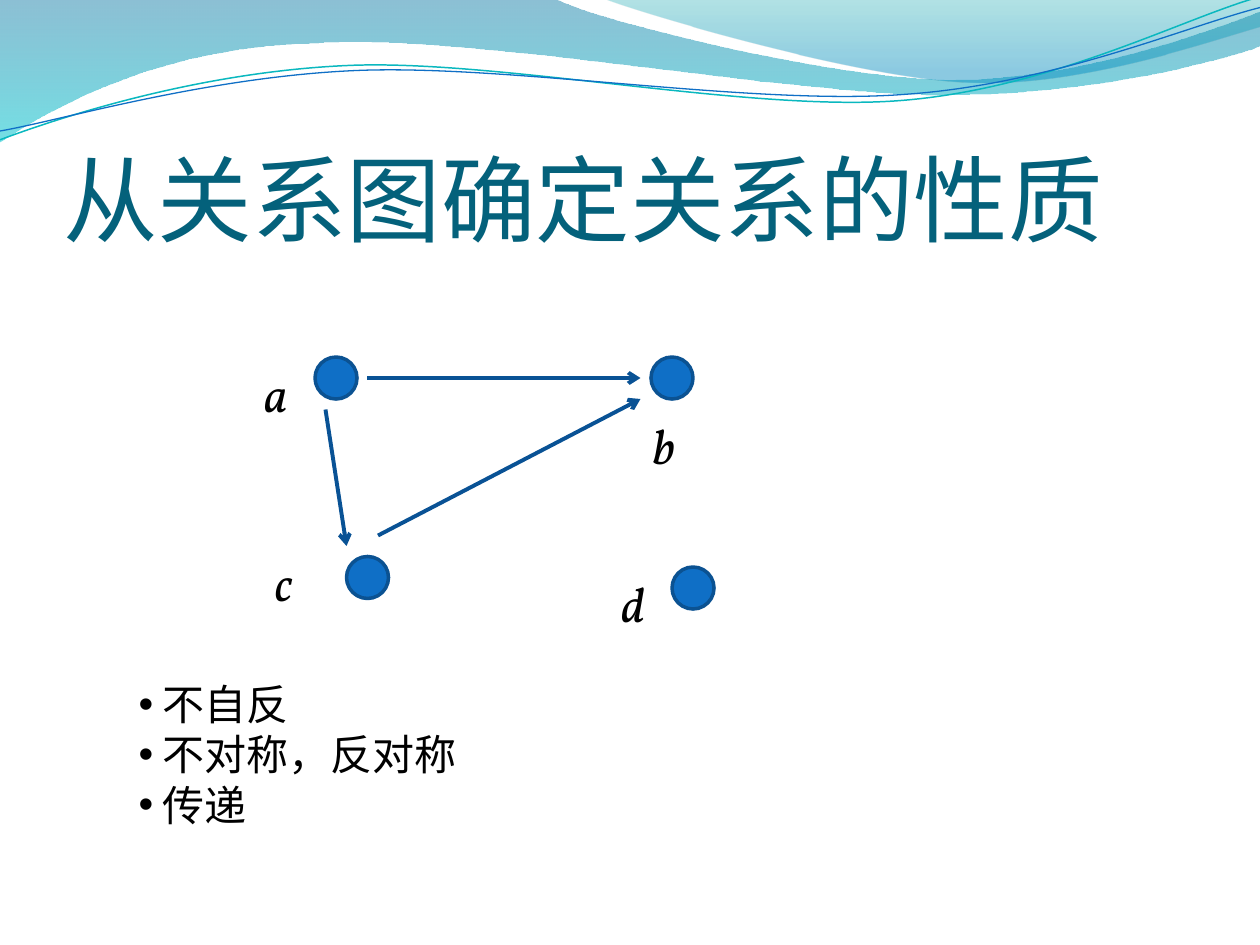
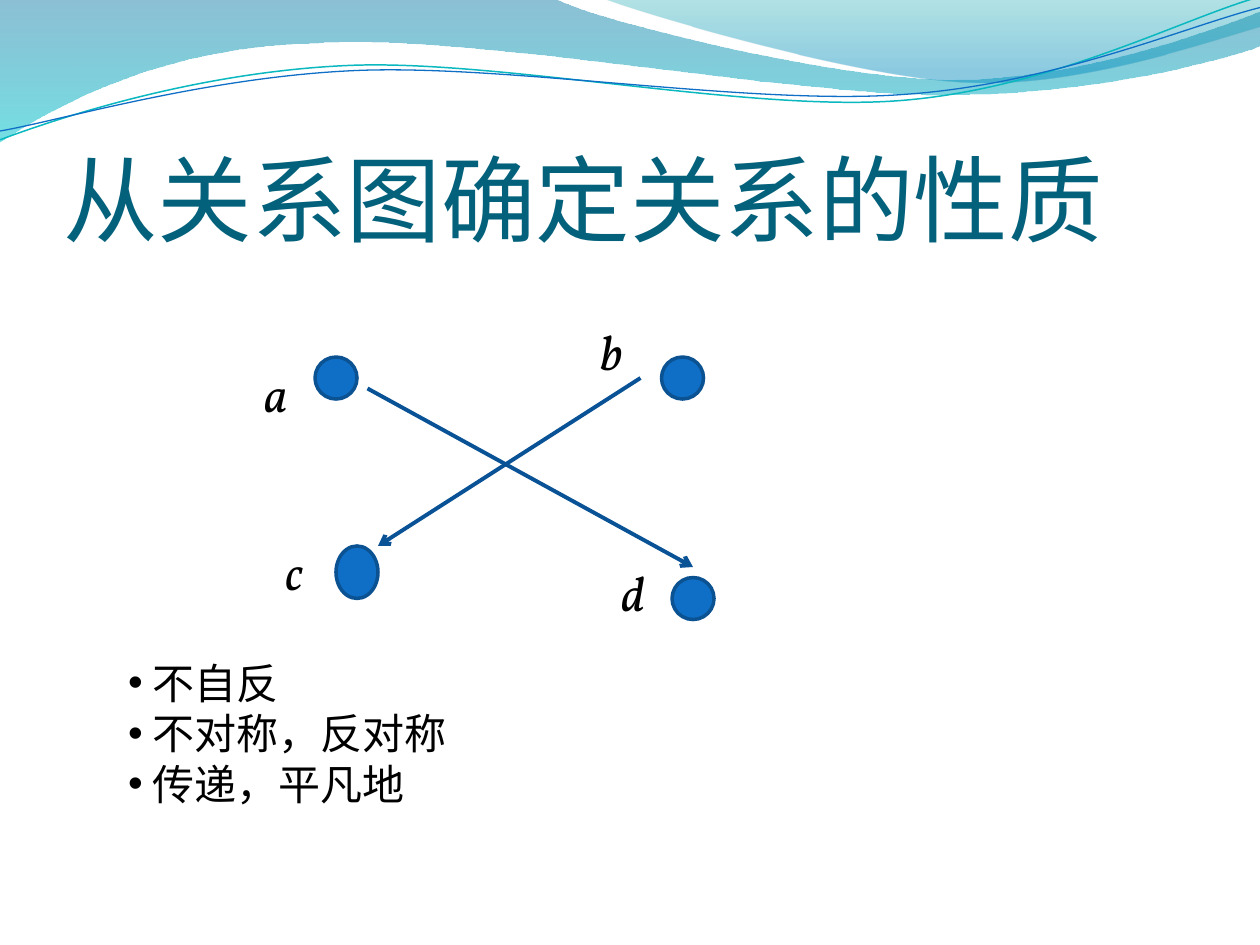
from lxml.etree import SubElement
from pptx import Presentation
from pptx.dml.color import RGBColor
from pptx.enum.shapes import MSO_CONNECTOR, MSO_SHAPE
from pptx.enum.text import MSO_ANCHOR, MSO_AUTO_SIZE, PP_ALIGN
from pptx.oxml.ns import qn
from pptx.util import Inches, Pt

# Shared look
BLACK = RGBColor(0x00, 0x00, 0x00)
TITLE_TEAL = RGBColor(0x04, 0x61, 0x7B)
NODE_BLUE = RGBColor(0x0F, 0x6F, 0xC6)
NODE_EDGE = RGBColor(0x0B, 0x52, 0x92)
ARROW_BLUE = RGBColor(0x09, 0x52, 0x95)
WAVE_TEAL = RGBColor(0x0A, 0xB8, 0xBF)
DEEP_BLUE = RGBColor(0x00, 0x74, 0xA1)
TURQUOISE = RGBColor(0x00, 0xC6, 0xCF)
SEA_GREEN = RGBColor(0x00, 0xA1, 0xA9)
SKY_BLUE = RGBColor(0x00, 0x8B, 0xBF)

TITLE = "从关系图确定关系的性质"
TITLE_FONT = {"name": "Calibri", "size": Pt(54)}
LIST_FONT = {"name": "Vollkorn", "size": Pt(24)}
LABEL_FONT = {"name": "Vollkorn", "size": Pt(28), "italic": True}
LIST_INDENT = Inches(0.19)

deck = Presentation()
deck.slide_width, deck.slide_height = Inches(10), Inches(7.5)
CELL = deck.slide_width / 120  # grid of 120 columns by 90 rows
NODE = 4  # node diameter in cells


def cells(*counts):
    """Turn grid counts into slide lengths."""
    return [round(count * CELL) for count in counts]


def write(para, text, font, color):
    """Add one formatted run to a paragraph."""
    span = para.add_run()
    span.text = text
    for name, value in font.items():
        setattr(span.font, name, value)
    span.font.color.rgb = color


# Waves in inches: a step of one point is a line, of three points a curve.
# Bands carry gradient stops (position, colour, opacity); strokes carry a colour and width.
waves = [
    {"start": (0, 0),
     "steps": [[(4.4, -0.01)],
               [(4.76, 0.17), (6.64, 0.63), (7.58, 0.63)],
               [(8.53, 0.63), (9.58, 0.26), (10, 0.09)],
               [(10.01, 0.36)],
               [(9.83, 0.44), (8.7, 0.76), (7.46, 0.75)],
               [(6.22, 0.75), (3.82, 0.28), (2.57, 0.34)],
               [(1.29, 0.36), (0.46, 0.83), (-0.01, 1.13)],
               [(0, 0)]],
     "stops": [(0, DEEP_BLUE, 45), (1, TURQUOISE, 55)]},
    {"start": (4.79, -0.01),
     "steps": [[(5.09, 0.11), (6.82, 0.62), (7.69, 0.65)],
               [(8.56, 0.69), (9.61, 0.32), (10, 0.21)],
               [(10, 0)],
               [(4.79, -0.01)]],
     "stops": [(0, SEA_GREEN, 30), (0.8, SKY_BLUE, 45)]},
    {"start": (0, 1.11),
     "steps": [[(0.48, 0.93), (1.58, 0.57), (2.77, 0.52)],
               [(3.95, 0.47), (5.93, 0.89), (7.13, 0.8)],
               [(8.33, 0.71), (9.38, 0.15), (9.98, -0.02)]],
     "stroke": (WAVE_TEAL, 0.85)},
    {"start": (0, 1.04),
     "steps": [[(0.47, 0.96), (1.64, 0.61), (2.83, 0.56)],
               [(4.03, 0.51), (5.97, 0.84), (7.17, 0.75)],
               [(8.36, 0.67), (9.41, 0.21), (10, 0.06)]],
     "stroke": (NODE_BLUE, 0.75)},
]

# Positions are (column, row); a node may add its own height.
graphs = [
    {"nodes": [(30, 34), (62, 34), (64, 54), (33, 53)],
     "labels": {"a": (24, 34), "b": (61, 39), "c": (25, 52), "d": (58, 54)},
     "arrows": [(35, 36, 61, 36), (31, 39, 33, 52), (36, 51, 61, 38)],
     "list_area": (12, 64, 87, 15.75),
     "properties": ["不自反", "不对称，反对称", "传递"]},
    {"nodes": [(30, 34), (63, 34), (32, 52, 5), (64, 55)],
     "labels": {"a": (24, 34), "b": (56, 30), "c": (26, 51), "d": (58, 53)},
     "arrows": [(35, 37, 66, 54), (61, 36, 36, 52)],
     "list_area": (11, 62, 98, 15.75),
     "properties": ["不自反", "不对称，反对称", "传递，平凡地"]},
]

pages = [deck.slides.add_slide(deck.slide_layouts[1]) for graph in graphs]

# Waves are built on the first page, then moved to the master
master_tree = deck.slide_master.shapes.element
for index, wave in enumerate(waves):
    points = [(Inches(x), Inches(y))
              for step in [[wave["start"]], *wave["steps"]] for x, y in step]
    builder = pages[0].shapes.build_freeform(*points[0])
    builder.add_line_segments(points[1:], close="stops" in wave)
    shape = builder.convert_to_shape()

    # Join each three-point step into one Bezier curve
    segments = iter(list(shape.element.iter(qn("a:lnTo"))))
    for step in wave["steps"]:
        group = [next(segments) for point in step]
        if len(group) == 3:
            curve = SubElement(group[0].getparent(), qn("a:cubicBezTo"))
            group[0].addprevious(curve)
            for segment in group:
                curve.append(segment[0])
                segment.getparent().remove(segment)

    shape.shadow.inherit = False
    if "stops" in wave:
        shape.line.fill.background()
        shape.fill.gradient()
        shape.fill.gradient_angle = 270
        for stop, (position, color, _) in zip(shape.fill.gradient_stops, wave["stops"]):
            stop.position, stop.color.rgb = position, color
        colors = shape.element.spPr.iter(qn("a:srgbClr"))
        for color, (_, _, opacity) in zip(list(colors), wave["stops"]):
            SubElement(color, qn("a:alpha"), val=str(opacity * 1000))
    else:
        shape.fill.background()
        shape.line.color.rgb, shape.line.width = wave["stroke"][0], Pt(wave["stroke"][1])
    shape.element.nvSpPr.cNvPr.set("id", str(100 + index))
    master_tree.insert(2 + index, shape.element)

for page, graph in zip(pages, graphs):
    # Title
    title = page.shapes.title
    title.left, title.top, title.width, title.height = cells(6, 9.25, 108, 15)
    frame_format = {"margin_left": 0, "margin_top": Inches(0.05), "margin_right": 0,
                    "margin_bottom": 0, "vertical_anchor": MSO_ANCHOR.BOTTOM,
                    "auto_size": MSO_AUTO_SIZE.NONE}
    for name, value in frame_format.items():
        setattr(title.text_frame, name, value)
    para = title.text_frame.paragraphs[0]
    para.alignment = PP_ALIGN.LEFT
    write(para, TITLE, TITLE_FONT, TITLE_TEAL)

    # Properties of the relation
    body = page.placeholders[1]
    body.left, body.top, body.width, body.height = cells(*graph["list_area"])
    body.text_frame.auto_size = MSO_AUTO_SIZE.NONE
    for number, text in enumerate(graph["properties"]):
        para = body.text_frame.add_paragraph() if number else body.text_frame.paragraphs[0]
        para.space_before = Pt(0)
        props = para._p.get_or_add_pPr()
        props.set("marL", str(LIST_INDENT))
        props.set("indent", str(-LIST_INDENT))
        SubElement(props, qn("a:buChar"), char="•")
        write(para, text, LIST_FONT, BLACK)

    # Relation graph
    for column, row, *height in graph["nodes"]:
        node = page.shapes.add_shape(MSO_SHAPE.OVAL, *cells(column, row, NODE, *(height or [NODE])))
        node.shadow.inherit = False
        node.fill.solid()
        node.fill.fore_color.rgb = NODE_BLUE
        node.line.color.rgb, node.line.width = NODE_EDGE, Pt(2)

    for ends in graph["arrows"]:
        arrow = page.shapes.add_connector(MSO_CONNECTOR.STRAIGHT, *cells(*ends))
        arrow.line.color.rgb, arrow.line.width = ARROW_BLUE, Pt(2.25)
        SubElement(arrow.element.spPr.find(qn("a:ln")), qn("a:tailEnd"), type="arrow")
        SubElement(arrow.element.spPr, qn("a:effectLst"))

    for letter, (column, row) in graph["labels"].items():
        box = page.shapes.add_textbox(*cells(column, row, 5, 6.84))
        box.text_frame.word_wrap = True
        write(box.text_frame.paragraphs[0], letter, LABEL_FONT, BLACK)

deck.save("out.pptx")
